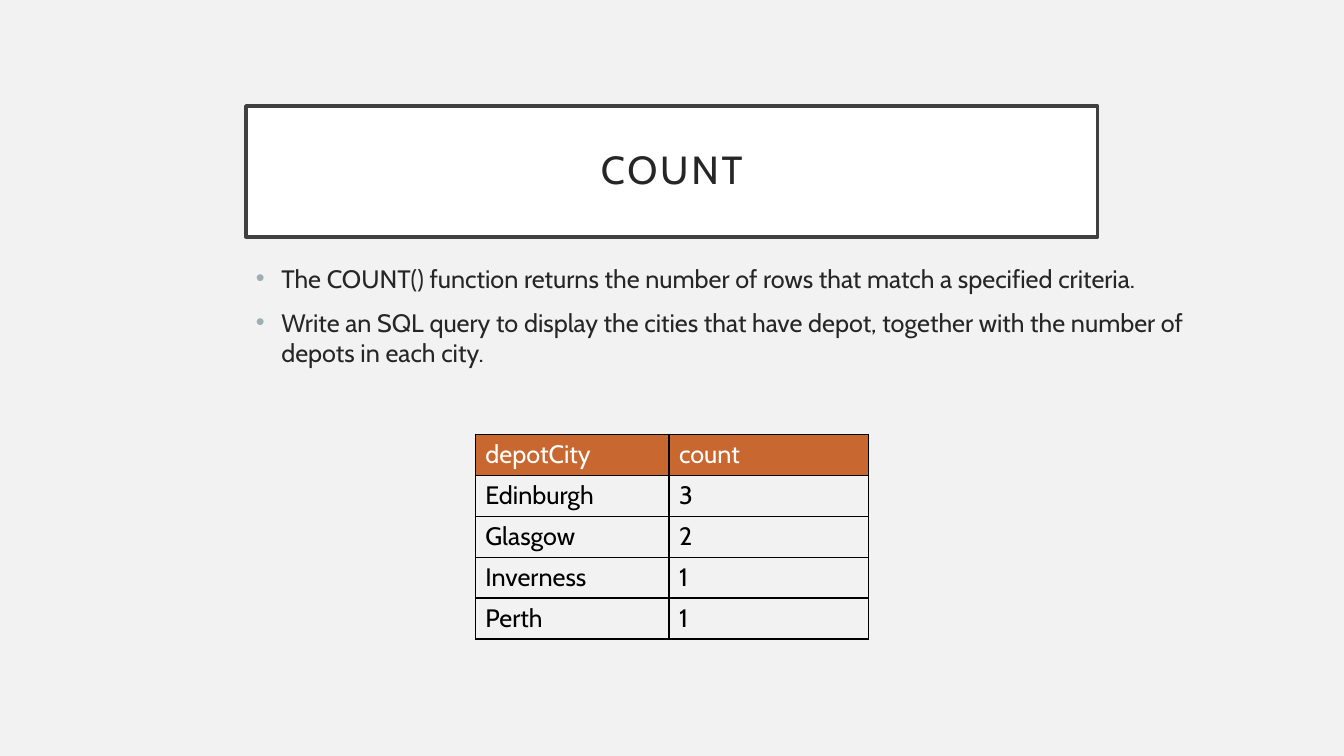
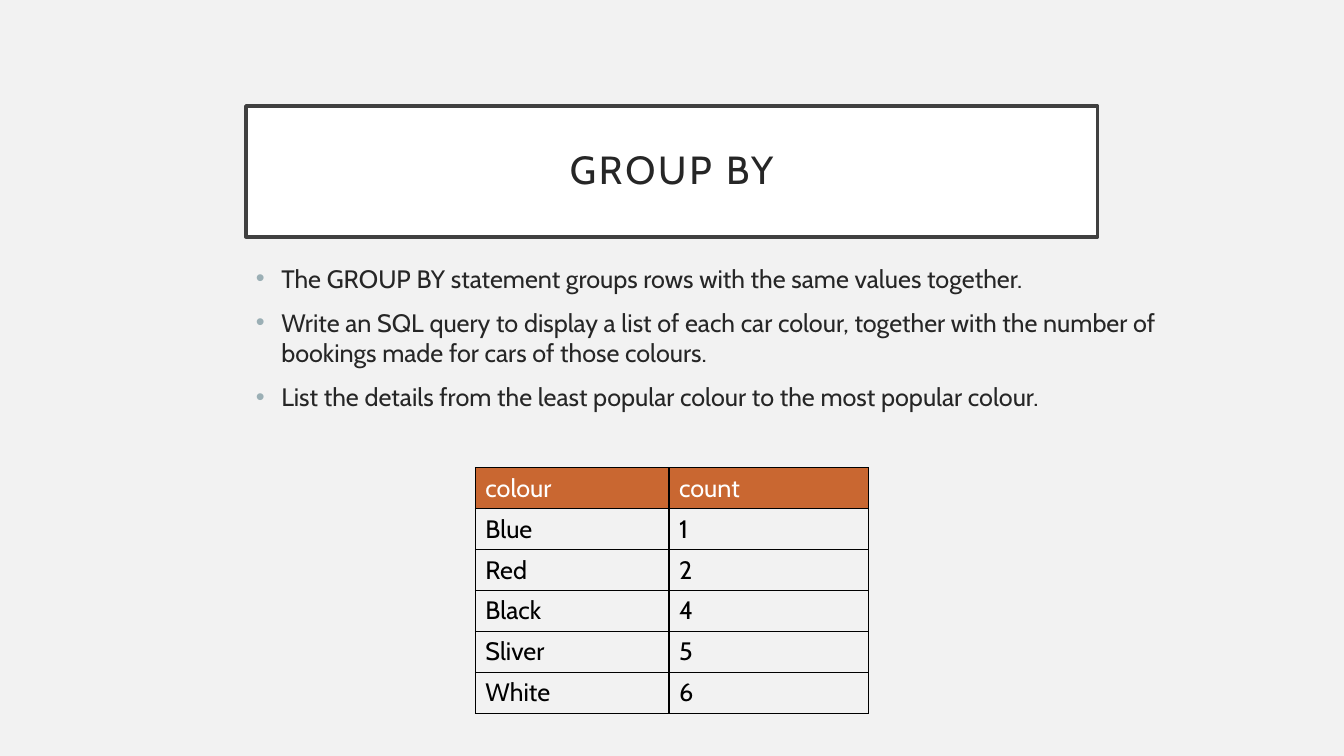
from lxml.etree import SubElement
from pptx import Presentation
from pptx.dml.color import RGBColor
from pptx.enum.text import MSO_ANCHOR as Anchor, MSO_AUTO_SIZE as AutoSize, PP_ALIGN as Align
from pptx.oxml import parse_xml
from pptx.oxml.ns import nsdecls, qn
from pptx.util import Cm, Pt

FONT = "Cabin"
PAGE, INK, FRAME, WHITE, BLACK = "F2F2F2", "262626", "404040", "FFFFFF", "000000"
HEADER, BULLET = "C96731", "9BAFB5"
LEFT = Cm(6.2)
COLUMN_WIDTHS = [Cm(4.88), Cm(5.03)]
ROW_HEIGHT = Cm(1.03)

LESSONS = [
    {
        "title": "COUNT",
        "points": [
            "The COUNT() function returns the number of rows that match a specified criteria.",
            "Write an SQL query to display the cities that have depot, together with "
            "the number of depots in each city.",
        ],
        "points_height": Cm(3.96),
        "result_top": Cm(10.95),
        "result": [("depotCity", "count"), ("Edinburgh", "3"), ("Glasgow", "2"),
                   ("Inverness", "1"), ("Perth", "1")],
    },
    {
        "title": "GROUP BY",
        "points": [
            "The GROUP BY statement groups rows with the same values together.",
            "Write an SQL query to display a list of each car colour, together with "
            "the number of bookings made for cars of those colours.",
            "List the details from the least popular colour to the most popular colour.",
        ],
        "points_height": Cm(4.8),
        "result_top": Cm(11.79),
        "result": [("colour", "count"), ("Blue", "1"), ("Red", "2"), ("Black", "4"),
                   ("Sliver", "5"), ("White", "6")],
    },
]


def rgb(value):
    return RGBColor.from_string(value)


def write(paragraph, text, size=18, color=INK, align=Align.LEFT, spacing=1.0,
          before=0, tracking=0, bullet=None):
    """Fill a paragraph with one formatted run; bullet is the bullet's colour."""
    if bullet:
        properties = paragraph._p.get_or_add_pPr()
        properties.set("marL", str(Cm(0.64)))
        properties.set("indent", str(-Cm(0.64)))
        bullet_color = SubElement(properties, qn("a:buClr"))
        SubElement(bullet_color, qn("a:srgbClr"), val=bullet)
        SubElement(properties, qn("a:buFont"), typeface="Arial")
        SubElement(properties, qn("a:buChar"), char="•")
    paragraph.alignment = align
    paragraph.line_spacing = spacing
    paragraph.space_before = Pt(before)
    run = paragraph.add_run()
    run.text = text
    run.font.name = FONT
    run.font.size = Pt(size)
    run.font.color.rgb = rgb(color)
    if tracking:
        run.font._element.set("spc", str(tracking * 100))


prs = Presentation()
prs.slide_width, prs.slide_height = Cm(33.87), Cm(19.05)
page_fill = prs.slide_master.background.fill
page_fill.solid()
page_fill.fore_color.rgb = rgb(PAGE)
title_only = prs.slide_layouts[5]

for lesson in LESSONS:
    slide = prs.slides.add_slide(title_only)

    title = slide.shapes.title
    title.left, title.top, title.width, title.height = LEFT, Cm(2.67), Cm(21.46), Cm(3.3)
    title.fill.solid()
    title.fill.fore_color.rgb = rgb(WHITE)
    title.line.color.rgb = rgb(FRAME)
    title.line.width = Pt(2.5)
    frame = title.text_frame
    frame.auto_size = AutoSize.NONE
    frame.vertical_anchor = Anchor.MIDDLE
    frame.margin_left = frame.margin_right = frame.margin_top = frame.margin_bottom = Cm(0.51)
    write(frame.paragraphs[0], lesson["title"], size=28, align=Align.CENTER,
          spacing=0.9, tracking=2)

    points = slide.shapes.add_textbox(LEFT, Cm(6.5), Cm(24.36),
                                      lesson["points_height"]).text_frame
    points.word_wrap = True
    for index, point in enumerate(lesson["points"]):
        paragraph = points.add_paragraph() if index else points.paragraphs[0]
        write(paragraph, point, before=10 if index else 0, bullet=BULLET)

    rows = lesson["result"]
    result = slide.shapes.add_table(len(rows), len(COLUMN_WIDTHS), Cm(11.98),
                                    lesson["result_top"], sum(COLUMN_WIDTHS),
                                    ROW_HEIGHT * len(rows)).table
    result.first_row = result.horz_banding = False
    for column, width in zip(result.columns, COLUMN_WIDTHS):
        column.width = width
    for row_index, values in enumerate(rows):
        result.rows[row_index].height = ROW_HEIGHT
        for column_index, value in enumerate(values):
            cell = result.cell(row_index, column_index)
            cell_properties = cell._tc.get_or_add_tcPr()
            for side in "LRTB":
                cell_properties.append(parse_xml(
                    f'<a:ln{side} {nsdecls("a")} w="{Pt(1)}"><a:solidFill>'
                    f'<a:srgbClr val="{BLACK}"/></a:solidFill></a:ln{side}>'))
            if row_index == 0:
                cell.fill.solid()
                cell.fill.fore_color.rgb = rgb(HEADER)
            else:
                cell.fill.background()
            write(cell.text_frame.paragraphs[0], value,
                  color=BLACK if row_index else WHITE)

prs.save("out.pptx")
